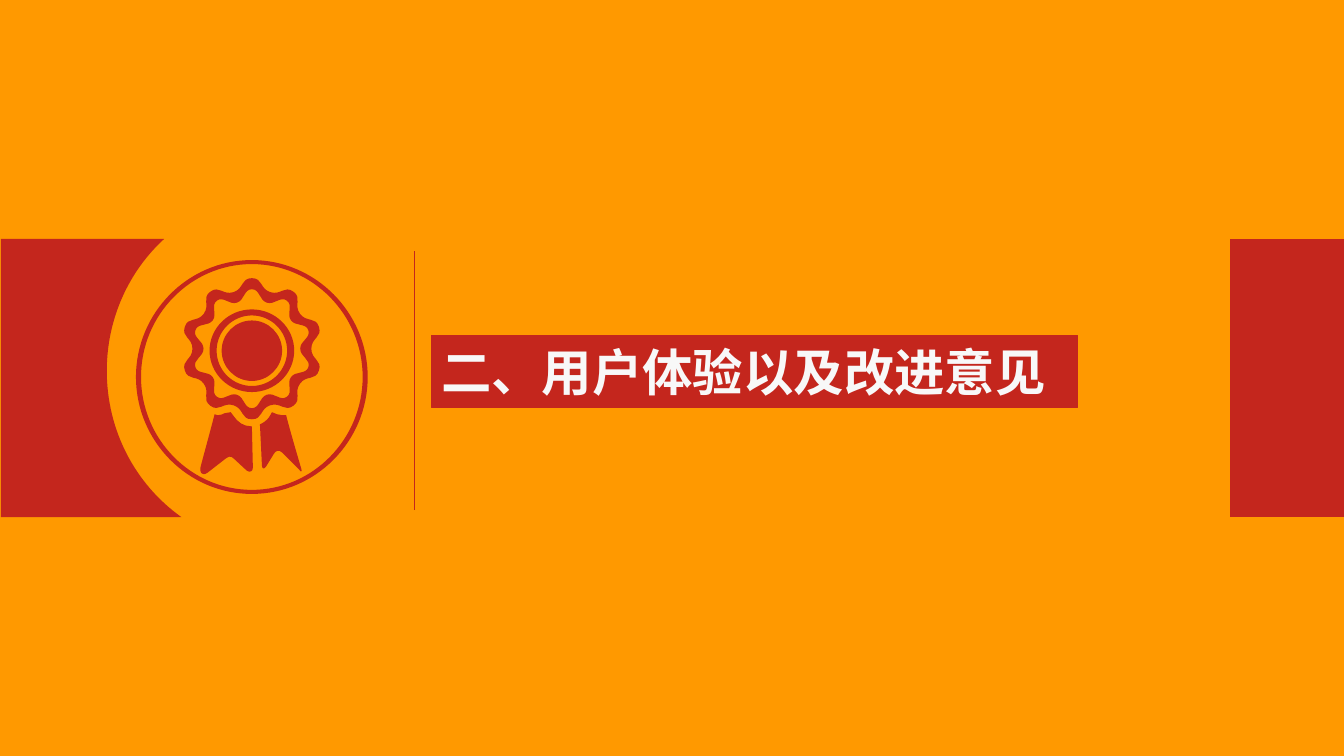
from math import cos, pi, sin

from lxml.etree import Element, SubElement
from pptx import Presentation
from pptx.dml.color import RGBColor
from pptx.enum.shapes import MSO_CONNECTOR as Connector, MSO_SHAPE as Preset
from pptx.enum.text import MSO_AUTO_SIZE as AutoSize
from pptx.oxml.ns import qn
from pptx.util import Inches, Pt

COLORS = {"background": "FF9900", "accent": "C4261D", "title": "F8F8F8"}
TITLE_FONT = {"name": "Noto Sans CJK SC", "size": Pt(36), "bold": True}
LOBES = 10
ROSETTE_CENTER = (2.5, 3.46)
MEDAL_CENTER = (2.5, 3.48)
RING_CENTER = (2.5, 3.74)
LEFT_PANEL = [
    (0.01, 2.37), (1.63, 2.37),
    (1.28, 2.69, 1.06, 3.16, 1.06, 3.68),
    (1.06, 4.28, 1.35, 4.81, 1.8, 5.13),
    (0.01, 5.13),
]
RIGHT_PANEL = [(12.21, 2.37), (13.34, 2.37), (13.34, 5.13), (12.21, 5.13)]
LEFT_RIBBON = [
    (2.49, 4.23), (2.42, 4.23, 2.36, 4.19, 2.32, 4.13), (2.29, 4.09), (2.23, 4.1),
    (2.21, 4.11, 2.19, 4.12, 2.16, 4.12), (2.13, 4.11),
    (2.09, 4.27, 1.99, 4.63, 1.99, 4.64), (1.98, 4.68, 2, 4.73, 2.06, 4.69),
    (2.24, 4.55), (2.27, 4.53, 2.29, 4.52, 2.32, 4.55), (2.45, 4.67),
    (2.48, 4.69, 2.51, 4.68, 2.51, 4.64), (2.5, 4.23),
]
RIGHT_RIBBON = [
    (2.84, 4.12), (2.81, 4.12, 2.78, 4.12, 2.75, 4.11), (2.7, 4.09), (2.67, 4.14),
    (2.65, 4.17, 2.61, 4.2, 2.58, 4.21), (2.6, 4.62),
    (2.6, 4.65, 2.62, 4.66, 2.64, 4.63), (2.72, 4.5),
    (2.74, 4.47, 2.77, 4.46, 2.8, 4.49), (2.97, 4.66),
    (2.99, 4.69, 3, 4.68, 2.99, 4.65), (2.99, 4.65, 2.88, 4.28, 2.84, 4.12),
]


def rgb(role):
    """Return the colour that belongs to a role."""
    return RGBColor.from_string(COLORS[role])


def paint(shape):
    """Give a shape the flat accent fill."""
    shape.shadow.inherit = False
    shape.fill.solid()
    shape.fill.fore_color.rgb = rgb("accent")
    shape.line.fill.background()


def edge(line):
    """Give a line the thin accent stroke."""
    line.color.rgb = rgb("accent")
    line.width = Pt(0.75)


def round_contour(center, radii, turns, pull):
    """Join points on alternating radii with curves along the tangents."""
    stops = []
    for turn in range(turns + 1):
        angle = 2 * pi * turn / turns
        radius_x, radius_y = radii[turn % len(radii)]
        x = center[0] + radius_x * sin(angle)
        y = center[1] - radius_y * cos(angle)
        reach_x, reach_y = pull
        stops.append((x, y, reach_x * cos(angle), reach_y * sin(angle)))
    contour = [stops[0][:2]]
    for (x, y, dx, dy), (next_x, next_y, next_dx, next_dy) in zip(stops, stops[1:]):
        contour.append((x + dx, y + dy, next_x - next_dx, next_y - next_dy,
                        next_x, next_y))
    return contour


def ellipse(center, radius_x, radius_y):
    """Return an ellipse of four curves."""
    return round_contour(center, [(radius_x, radius_y)], 4,
                         (0.55 * radius_x, 0.55 * radius_y))


def scallop(peak, trough, pull):
    """Return a wavy circle around the rosette centre."""
    return round_contour(ROSETTE_CENTER, [(peak, peak), (trough, trough)],
                         2 * LOBES, (pull, pull))


def add_outline(shapes, *contours):
    """Add one flat freeform of closed contours with lines and curves."""
    builder = None
    for contour in contours:
        start, *vertices = [
            (Inches(x), Inches(y))
            for piece in contour for x, y in zip(piece[::2], piece[1::2])
        ]
        if builder is None:
            builder = shapes.build_freeform(*start, scale=1.0)
        else:
            builder.move_to(*start)
        builder.add_line_segments(vertices, close=True)
    outline = builder.convert_to_shape()
    segments = iter(list(outline._element.iter(qn("a:lnTo"))))
    for piece in (piece for contour in contours for piece in contour[1:]):
        members = [next(segments) for _ in range(len(piece) // 2)]
        if len(members) == 3:
            curve = Element(qn("a:cubicBezTo"))
            members[0].addprevious(curve)
            for member in members:
                curve.append(member[0])
                member.getparent().remove(member)
    paint(outline)


def add_divider(shapes, x, top, bottom):
    """Add the thin upright line beside the title."""
    divider = shapes.add_connector(
        Connector.STRAIGHT, Inches(x), Inches(bottom), Inches(x), Inches(top))
    edge(divider.line)
    SubElement(divider._element.spPr, qn("a:effectLst"))


def add_title(shapes, text, left, top, width, height):
    """Add the section title on its accent bar."""
    frame = [Inches(length) for length in (left, top, width, height)]
    bar = shapes.add_shape(Preset.RECTANGLE, *frame)
    paint(bar)
    edge(bar.line)
    title = shapes.add_textbox(*frame)
    title.text_frame.word_wrap = True
    title.text_frame.auto_size = AutoSize.SHAPE_TO_FIT_TEXT
    run = title.text_frame.paragraphs[0].add_run()
    run.text = text
    for attribute, value in TITLE_FONT.items():
        setattr(run.font, attribute, value)
    run.font.color.rgb = rgb("title")
    SubElement(run._r.get_or_add_rPr(), qn("a:ea"), typeface=TITLE_FONT["name"])


def add_badge(shapes):
    """Draw the award rosette with its ribbons inside a ring."""
    badge = shapes.add_group_shape().shapes
    add_outline(
        badge,
        scallop(0.7, 0.59, 0.11), scallop(0.59, 0.48, 0.08),
        ellipse(MEDAL_CENTER, 0.42, 0.41), ellipse(MEDAL_CENTER, 0.35, 0.35),
        ellipse(MEDAL_CENTER, 0.3, 0.3),
        LEFT_RIBBON, RIGHT_RIBBON,
    )
    add_outline(badge, ellipse(RING_CENTER, 1.15, 1.16),
                ellipse(RING_CENTER, 1.1, 1.12))


def main():
    """Build and save the section slide."""
    deck = Presentation()
    deck.slide_width, deck.slide_height = Inches(13.34), Inches(7.5)
    slide = deck.slides.add_slide(deck.slide_layouts[6])
    slide.background.fill.solid()
    slide.background.fill.fore_color.rgb = rgb("background")
    add_title(slide.shapes, "二、用户体验以及改进意见", 4.28, 3.33, 6.42, 0.71)
    add_divider(slide.shapes, 4.11, 2.49, 5.06)
    for panel in (LEFT_PANEL, RIGHT_PANEL):
        add_outline(slide.shapes, panel)
    add_badge(slide.shapes)
    deck.save("out.pptx")


if __name__ == "__main__":
    main()
